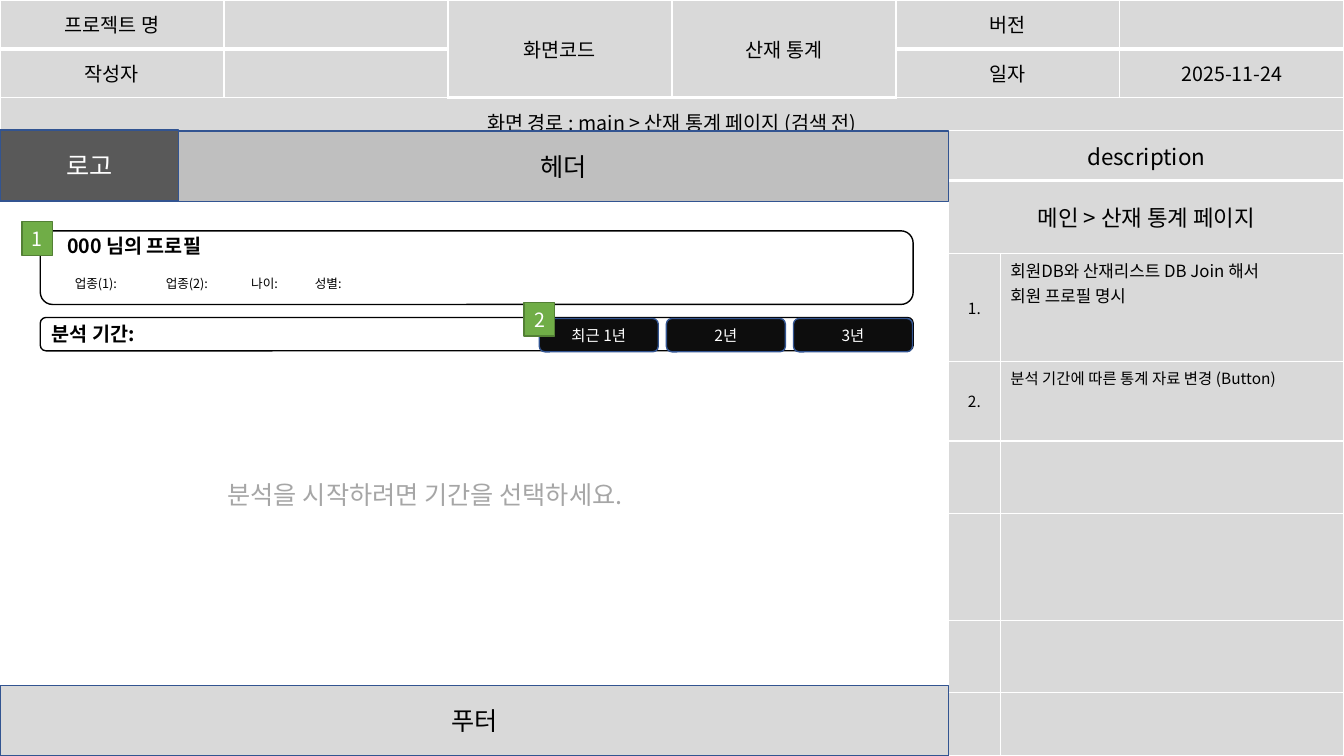
from pptx import Presentation
from pptx.util import Pt
from pptx.dml.color import RGBColor
from pptx.enum.shapes import MSO_SHAPE
from pptx.enum.text import PP_ALIGN, MSO_ANCHOR
from pptx.oxml.ns import qn
from lxml.etree import SubElement

FONT = "Noto Sans CJK KR"
HEX = {
    "black": "000000", "white": "FFFFFF", "cell": "D9D9D9", "head": "BFBFBF",
    "logo": "595959", "blue": "325491", "green": "70AD47", "moss": "538035",
    "ink": "0D0D0D", "hint": "A6A6A6",
}
LEFT, MID = PP_ALIGN.LEFT, PP_ALIGN.CENTER
RECT, ROUND = MSO_SHAPE.RECTANGLE, MSO_SHAPE.ROUNDED_RECTANGLE

# Content: (row, column, text)
INFO = [
    (0, 0, "프로젝트 명"), (0, 2, "화면코드"), (0, 3, "산재 통계"), (0, 4, "버전"),
    (1, 0, "작성자"), (1, 4, "일자"), (1, 5, "2025-11-24"),
    (2, 0, "화면 경로 : main > 산재 통계 페이지 (검색 전)"),
]
TITLES = ["description", "메인 > 산재 통계 페이지"]
NOTES = [
    ("1.", ["회원DB와 산재리스트 DB Join 해서", "회원 프로필 명시"], 12),
    ("2.", ["분석 기간에 따른 통계 자료 변경 (Button)"], 11),
]
NAME = "000 님의 프로필"
FIELDS = ["업종(1):", "업종(2):", "나이:", "성별:"]
STOPS = [15, 80, 141, 186.5]
TERMS = ["최근 1년", "2년", "3년"]
# Frame: text, left, top, width, height, fill, text colour
FRAME = [
    ("헤더", 127.5, 93.5, 550, 50.5, "head", "black"),
    ("로고", 0, 93, 127.5, 50.5, "logo", "white"),
    ("푸터", 0, 489.6, 677.5, 50.4, "cell", "black"),
]
BADGES = [("1", 15.6, 158.4), ("2", 374.4, 216)]

# Sizes
INFO_COLS, INFO_ROWS = [160] * 6, [34.7] * 3
SIDE_COLS = [37, 245.5]
SIDE_ROWS = [36, 52, 77, 57, 52, 76, 52, 45]
BOX_X, BOX_W = 28.8, 623.5
TERM_X, TERM_W, STEP = 385.2, 85, 90.8


def paint(name):
    return RGBColor.from_string(HEX[name])


def style(para, size, color="black", align=MID, bold=False):
    para.alignment = align
    font = para.font
    font.size, font.bold = Pt(size), bold
    font.color.rgb = paint(color)
    font.name = FONT
    props = para._p.pPr.find(qn("a:defRPr"))
    SubElement(props, qn("a:ea")).set("typeface", FONT)


def write(frame, lines, size, color="black", align=MID, bold=False):
    frame.text = "\n".join(lines)
    for para in frame.paragraphs:
        style(para, size, color, align, bold)


def tabs(para, stops):
    stop_list = SubElement(para._p.get_or_add_pPr(), qn("a:tabLst"))
    for stop in stops:
        tab = SubElement(stop_list, qn("a:tab"))
        tab.set("pos", str(Pt(stop)))
        tab.set("algn", "l")


def block(kind, x, y, w, h, fill, line):
    shape = slide.shapes.add_shape(kind, Pt(x), Pt(y), Pt(w), Pt(h))
    shape.shadow.inherit = False
    shape.fill.solid()
    shape.fill.fore_color.rgb = paint(fill)
    shape.line.color.rgb = paint(line)
    shape.line.width = Pt(1)
    frame = shape.text_frame
    frame.word_wrap = True
    frame.vertical_anchor = MSO_ANCHOR.MIDDLE
    return frame


def border(cell, thick):
    props = cell._tc.get_or_add_tcPr()
    for side in "LRTB":
        width = 3 if thick and side == "B" else 1
        line = SubElement(props, qn("a:ln" + side))
        line.set("w", str(Pt(width)))
        fill = SubElement(line, qn("a:solidFill"))
        SubElement(fill, qn("a:srgbClr")).set("val", HEX["white"])


def grid(x, y, cols, rows, merges):
    table = slide.shapes.add_table(
        len(rows), len(cols), Pt(x), Pt(y), Pt(sum(cols)), Pt(sum(rows))).table
    for col, width in zip(table.columns, cols):
        col.width = Pt(width)
    for row, height in zip(table.rows, rows):
        row.height = Pt(height)
    for first, last in merges:
        table.cell(*first).merge(table.cell(*last))
    for r in range(len(rows)):
        for c in range(len(cols)):
            cell = table.cell(r, c)
            border(cell, r == 0 or (r == 1 and c in (2, 3)))
            cell.fill.solid()
            cell.fill.fore_color.rgb = paint("cell")
            style(cell.text_frame.paragraphs[0], 12)
    return table


def enter(cell, lines, size, align=MID, anchor=MSO_ANCHOR.MIDDLE):
    write(cell.text_frame, lines, size, align=align)
    cell.vertical_anchor = anchor


deck = Presentation()
deck.slide_width, deck.slide_height = Pt(960), Pt(540)
slide = deck.slides.add_slide(deck.slide_layouts[6])

# Document table
info = grid(0, 0, INFO_COLS, INFO_ROWS,
            [((0, 2), (1, 2)), ((0, 3), (1, 3)), ((2, 0), (2, 5))])
for r, c, text in INFO:
    cell = info.cell(r, c)
    cell.margin_top = cell.margin_bottom = Pt(7.2)
    enter(cell, [text], 14)

# Description table
side = grid(677.5, 93, SIDE_COLS, SIDE_ROWS,
            [((0, 0), (0, 1)), ((1, 0), (1, 1))])
for r, text in enumerate(TITLES):
    enter(side.cell(r, 0), [text], 16)
for r, (mark, lines, size) in enumerate(NOTES, len(TITLES)):
    enter(side.cell(r, 0), [mark], 11)
    enter(side.cell(r, 1), lines, size, LEFT, MSO_ANCHOR.TOP)

# Header, logo and footer
for text, x, y, w, h, fill, color in FRAME:
    write(block(RECT, x, y, w, h, fill, "blue"), [text], 18, color)

# Profile box
card = block(ROUND, BOX_X, 164.9, BOX_W, 52.6, "white", "black")
card.margin_top, card.margin_bottom = Pt(0), Pt(7.2)
name, facts = card.paragraphs[0], card.add_paragraph()
name.text = "\t" + NAME
facts.text = "".join("\t" + field for field in FIELDS)
facts.space_before = Pt(13)
tabs(name, [9.5])
tabs(facts, STOPS)
style(name, 14, align=LEFT, bold=True)
style(facts, 9, align=LEFT)

# Period bar and buttons
bar = block(ROUND, BOX_X, 226.8, BOX_W, 23.8, "white", "black")
write(bar, ["분석 기간:"], 14, align=LEFT, bold=True)
for i, term in enumerate(TERMS):
    key = block(ROUND, TERM_X + i * STEP, 227.5, TERM_W, 23.8, "ink", "blue")
    write(key, [term], 11, "white")

# Number badges
for text, x, y in BADGES:
    write(block(RECT, x, y, 21.8, 24, "green", "moss"), [text], 14, "white")

# Prompt
hint = slide.shapes.add_textbox(Pt(155.5), Pt(339), Pt(325), Pt(29)).text_frame
hint.word_wrap = True
write(hint, ["분석을 시작하려면 기간을 선택하세요."], 18, "hint", LEFT)

deck.save("out.pptx")
